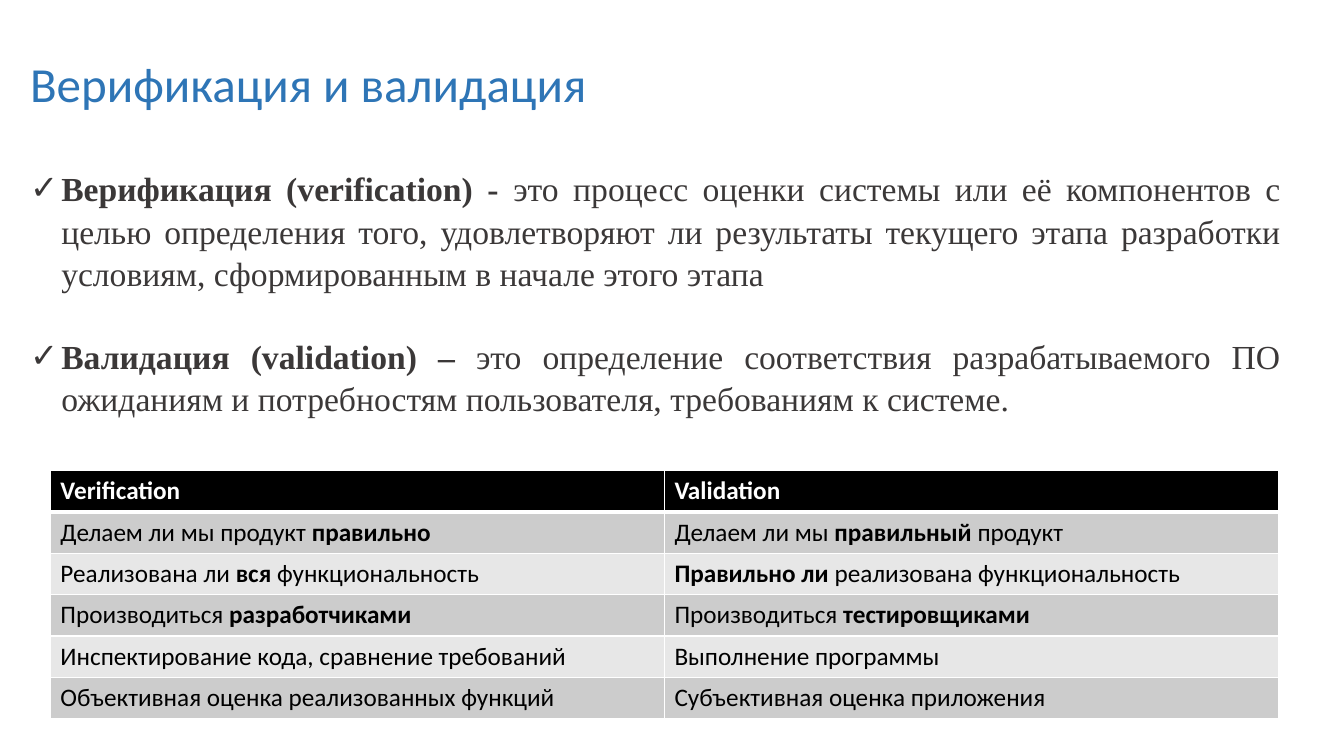
from lxml.etree import SubElement
from pptx import Presentation
from pptx.dml.color import RGBColor
from pptx.enum.text import MSO_AUTO_SIZE as Fit, PP_ALIGN as Align
from pptx.oxml.ns import qn
from pptx.util import Inches, Pt

W, H = 13.33, 7.5
MARGIN = 0.2
BODY_SIZE, LEADING = 24, 1.05
INDENT = 0.31
ROW_H, COL_W = 0.41, 6.09
DARK, BAND, LIGHT = "000000", "CCCCCC", "E7E7E7"

# Text is a list of (words, bold) runs
DEFINITIONS = [
    [("Верификация (verification) - ", True),
     ("это процесс оценки системы или её компонентов с целью определения того, "
      "удовлетворяют ли результаты текущего этапа разработки условиям, "
      "сформированным в начале этого этапа", False)],
    [("Валидация (validation) – ", True),
     ("это определение соответствия разрабатываемого ПО ожиданиям и "
      "потребностям пользователя, требованиям к системе.", False)],
]
COMPARISON = [
    ([("Verification", True)], [("Validation", True)]),
    ([("Делаем ли мы продукт ", False), ("правильно", True)],
     [("Делаем ли мы ", False), ("правильный ", True), ("продукт", False)]),
    ([("Реализована ли ", False), ("вся", True), (" функциональность", False)],
     [("Правильно ли ", True), ("реализована функциональность", False)]),
    ([("Производиться ", False), ("разработчиками", True)],
     [("Производиться ", False), ("тестировщиками", True)]),
    ([("Инспектирование кода, сравнение требований", False)],
     [("Выполнение программы", False)]),
    ([("Объективная оценка реализованных функций", False)],
     [("Субъективная оценка приложения", False)]),
]


def rgb(color):
    return RGBColor.from_string(color)


def add_runs(p, runs, size, font, color):
    for words, bold in runs:
        r = p.add_run()
        r.text = words
        r.font.size, r.font.name, r.font.bold = Pt(size), font, bold
        r.font.color.rgb = rgb(color)


def add_box(s, left, top, width, height, wrap):
    sp = s.shapes.add_textbox(*map(Inches, (left, top, width, height)))
    tf = sp.text_frame
    tf.word_wrap = wrap
    tf.auto_size = Fit.SHAPE_TO_FIT_TEXT
    return tf


def add_check(p):
    pPr = p._p.get_or_add_pPr()
    pPr.set("marL", str(Inches(INDENT)))
    pPr.set("indent", str(-Inches(INDENT)))
    SubElement(pPr, qn("a:buFont"), typeface="Arial")
    SubElement(pPr, qn("a:buChar"), char="✓")


def add_definitions(s, top, height):
    tf = add_box(s, MARGIN, top, 12.6, height, True)
    for i, runs in enumerate(DEFINITIONS):
        p = tf.add_paragraph() if i else tf.paragraphs[0]
        p.alignment = Align.JUSTIFY
        p.line_spacing = LEADING
        p.space_before = Pt(29 if i else 0)
        add_check(p)
        add_runs(p, runs, BODY_SIZE, "Times New Roman", "3B3838")


def set_borders(cell, bottom):
    tcPr = cell._tc.get_or_add_tcPr()
    widths = {"a:lnL": 1, "a:lnR": 1, "a:lnT": 1, "a:lnB": bottom}
    for side, width in widths.items():
        ln = SubElement(tcPr, qn(side), w=str(Pt(width)))
        SubElement(SubElement(ln, qn("a:solidFill")), qn("a:srgbClr"), val="FFFFFF")


def add_comparison(s, left, top):
    rows, cols = len(COMPARISON), len(COMPARISON[0])
    table = s.shapes.add_table(rows, cols, Inches(left), Inches(top),
                               Inches(cols * COL_W), Inches(rows * ROW_H)).table
    for i, row in enumerate(COMPARISON):
        table.rows[i].height = Inches(ROW_H)
        fill = DARK if i == 0 else BAND if i % 2 else LIGHT
        for j, runs in enumerate(row):
            cell = table.cell(i, j)
            # Borders come before the fill in a cell's properties
            set_borders(cell, 1 if i else 3)
            cell.fill.solid()
            cell.fill.fore_color.rgb = rgb(fill)
            add_runs(cell.text_frame.paragraphs[0], runs, 18, "Calibri",
                     "000000" if i else "FFFFFF")


def main():
    prs = Presentation()
    prs.slide_width, prs.slide_height = Inches(W), Inches(H)
    s = prs.slides.add_slide(prs.slide_layouts[6])

    # Title
    tf = add_box(s, MARGIN, 0.48, 5.77, 0.69, False)
    add_runs(tf.paragraphs[0], [("Верификация и валидация", False)],
             35, "Calibri", "2E75B6")

    # Definitions and the comparison below them
    add_definitions(s, 1.6, 2.52)
    add_comparison(s, 0.5, 4.67)

    prs.save("out.pptx")


if __name__ == "__main__":
    main()
